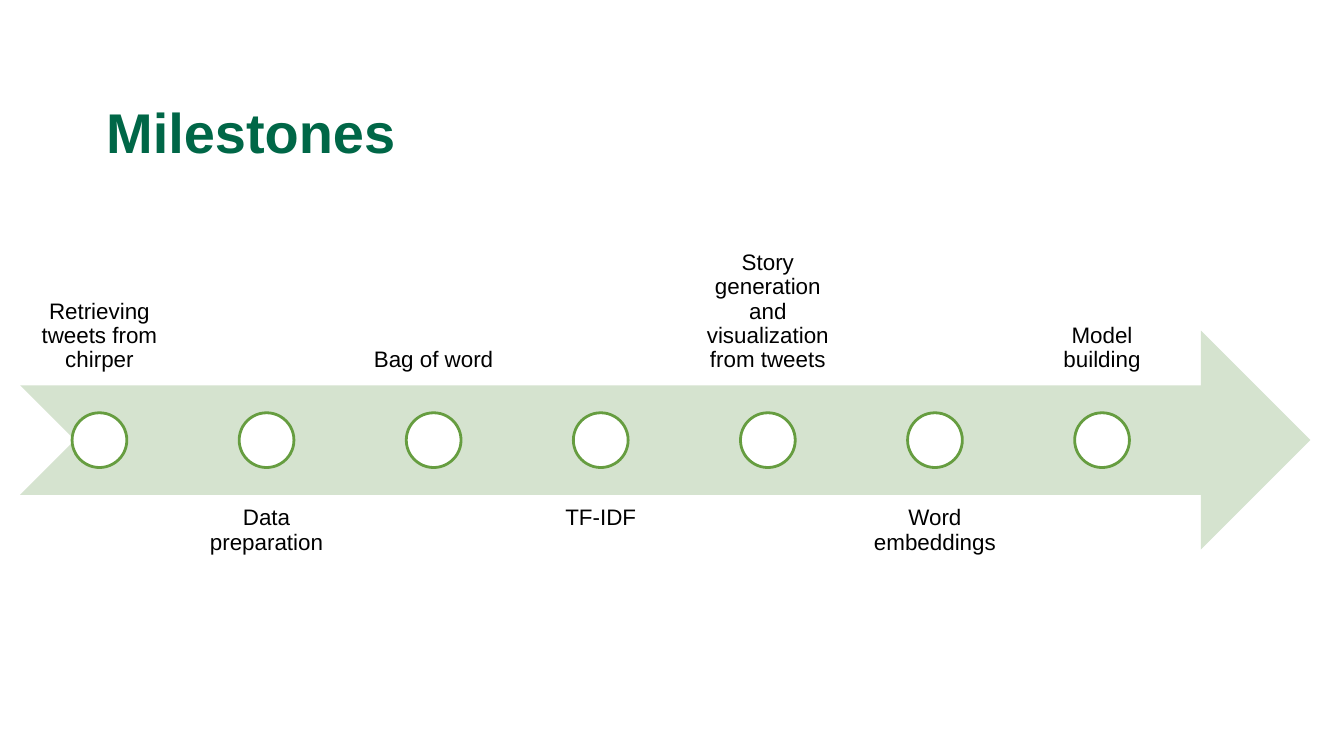
from pptx import Presentation
from pptx import util as u
from pptx.dml import color
from pptx.enum import shapes, text

WIDTH = 10
HEIGHT = WIDTH * 9 / 16
FONT = "Arial"
MILESTONES = [
    "Retrieving tweets from chirper",
    "Data preparation",
    "Bag of word",
    "TF-IDF",
    "Story generation and visualization from tweets",
    "Word embeddings",
    "Model building",
]

# Timeline grid: one column per milestone, evenly spaced
LEFT, ARROW_TOP, ARROW_WIDTH = 0.15, 2.46, 9.6
BAND = 1.63
LABEL_WIDTH = 1.18
PITCH = 7.46 / (len(MILESTONES) - 1)
LABEL_TOPS = (1.23, 3.68)
DOT = BAND / 4


def rgb(hex_string):
    return color.RGBColor.from_string(hex_string)


def inches(*lengths):
    return [u.Inches(length) for length in lengths]


def format_paragraph(paragraph, size, hex_color, alignment, bold=False):
    paragraph.alignment = alignment
    paragraph.line_spacing = 0.9
    for run in paragraph.runs:
        run.font.name = FONT
        run.font.size = u.Pt(size)
        run.font.bold = bold
        run.font.color.rgb = rgb(hex_color)


def add_title(slide, wording):
    title = slide.shapes.title
    title.left, title.top, title.width, title.height = inches(0.69, 0.63, 8.62, 0.76)
    frame = title.text_frame
    frame.text = wording
    frame.vertical_anchor = text.MSO_ANCHOR.MIDDLE
    format_paragraph(frame.paragraphs[0], 30, "006747", text.PP_ALIGN.LEFT, bold=True)


def add_preset(group, preset, box, fill, line=None):
    shape = group.shapes.add_shape(preset, *inches(*box))
    shape.shadow.inherit = False
    shape.fill.solid()
    shape.fill.fore_color.rgb = rgb(fill)
    if line:
        shape.line.color.rgb = rgb(line)
        shape.line.width = u.Pt(1.5)
    else:
        shape.line.fill.background()


def add_label(group, wording, box, anchor):
    frame = group.shapes.add_textbox(*inches(*box)).text_frame
    frame.word_wrap = True
    frame.vertical_anchor = anchor
    frame.margin_left = frame.margin_right = u.Inches(0.09)
    frame.margin_top = frame.margin_bottom = u.Inches(0.09)
    frame.text = wording
    format_paragraph(frame.paragraphs[0], 12, "000000", text.PP_ALIGN.CENTER)


def add_milestone(group, column, wording):
    # Labels alternate above and below the arrow
    below = column % 2
    anchor = text.MSO_ANCHOR.TOP if below else text.MSO_ANCHOR.BOTTOM
    left = LEFT + column * PITCH
    add_label(group, wording, (left, LABEL_TOPS[below], LABEL_WIDTH, BAND), anchor)

    # The dot is centred under its label and on the arrow
    dot_left = left + (LABEL_WIDTH - DOT) / 2
    dot_top = ARROW_TOP + (BAND - DOT) / 2
    add_preset(group, shapes.MSO_SHAPE.OVAL, (dot_left, dot_top, DOT, DOT),
               "FFFFFF", "669D40")


def main():
    presentation = Presentation()
    presentation.slide_width, presentation.slide_height = inches(WIDTH, HEIGHT)
    slide = presentation.slides.add_slide(presentation.slide_layouts[5])
    add_title(slide, "Milestones")

    # Timeline
    timeline = slide.shapes.add_group_shape()
    add_preset(timeline, shapes.MSO_SHAPE.NOTCHED_RIGHT_ARROW,
               (LEFT, ARROW_TOP, ARROW_WIDTH, BAND), "D5E3CF")
    for column, wording in enumerate(MILESTONES):
        add_milestone(timeline, column, wording)

    presentation.save("out.pptx")


if __name__ == "__main__":
    main()
